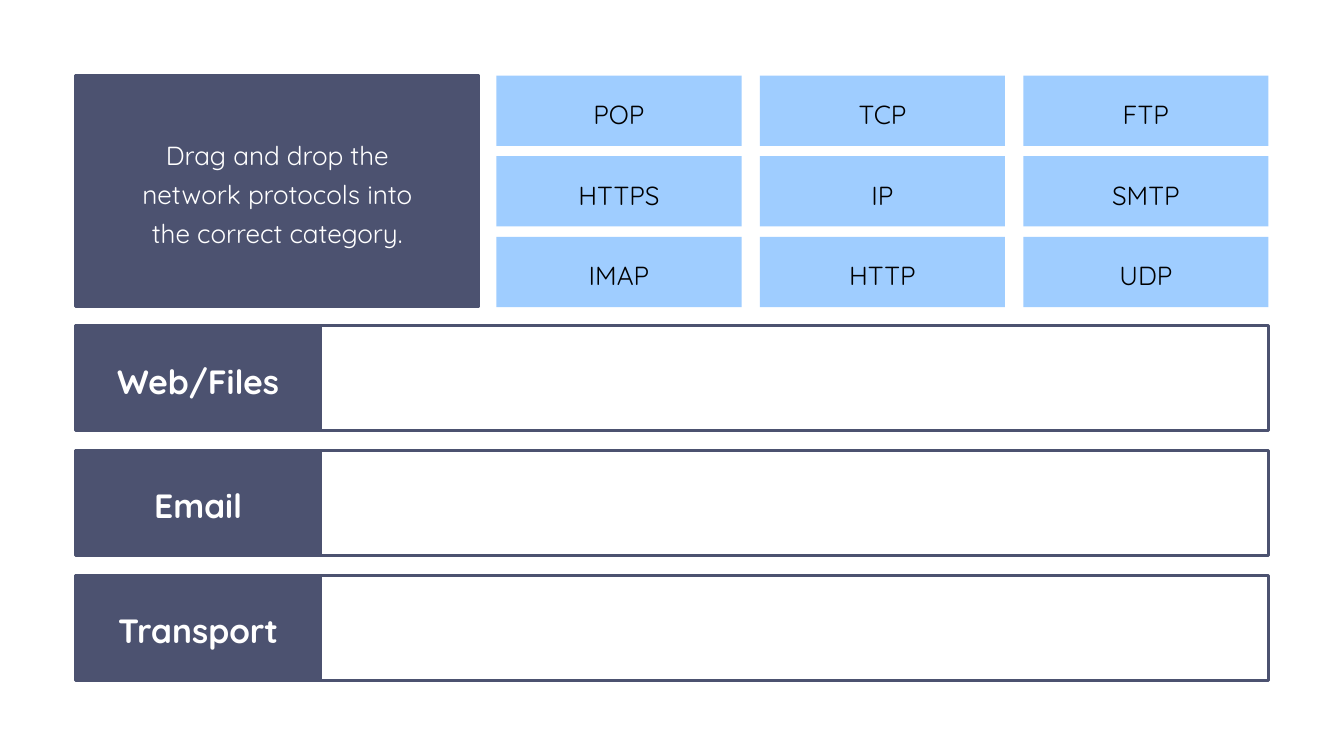
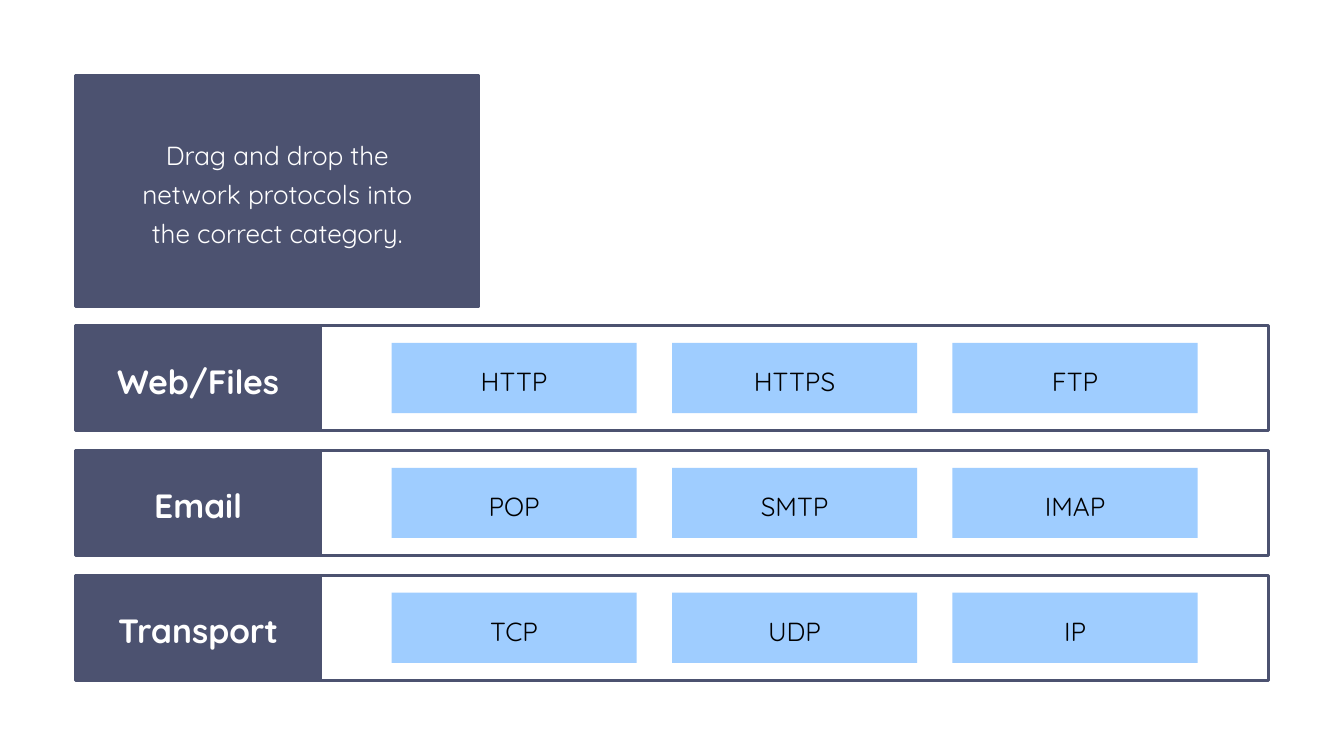
from pptx import Presentation
from pptx.dml.color import RGBColor
from pptx.enum.shapes import MSO_SHAPE
from pptx.enum.text import MSO_ANCHOR, MSO_AUTO_SIZE, PP_ALIGN
from pptx.util import Inches, Pt

SLATE = RGBColor(0x4C, 0x52, 0x70)
SKY = RGBColor(0x9F, 0xCD, 0xFF)
WHITE = RGBColor(0xFF, 0xFF, 0xFF)
BLACK = RGBColor(0, 0, 0)
FONT = "Quicksand"
OUTLINE = Pt(3.75)

# The slide is a grid of 160 columns by 90 rows; all lengths below count cells.
COLUMNS, ROWS = 160, 90
CELL = Inches(20 / COLUMNS)
MARGIN = 9
RIGHT = COLUMNS - MARGIN

PANEL_WIDTH, PANEL_HEIGHT = 47.9, 27.5
CARD_WIDTH, CARD_HEIGHT = 29.18, 8.36
BAND_TOP, BAND_HEIGHT, BAND_PITCH = 38.75, 12.5, 14.87
LABEL_WIDTH = CARD_WIDTH
FRAME_LEFT = MARGIN + LABEL_WIDTH
FRAME_WIDTH = RIGHT - FRAME_LEFT

INSTRUCTION = "Drag and drop the network protocols into the correct category."
SHUFFLED = [
    ["POP", "TCP", "FTP"],
    ["HTTPS", "IP", "SMTP"],
    ["IMAP", "HTTP", "UDP"],
]
ANSWERS = {
    "Web/Files": ["HTTP", "HTTPS", "FTP"],
    "Email": ["POP", "SMTP", "IMAP"],
    "Transport": ["TCP", "UDP", "IP"],
}


def cells(count):
    return round(count * CELL)


def write(holder, text, *, size=28, leading=42, color=BLACK, bold=False):
    frame = holder.text_frame
    frame.text = text
    frame.word_wrap = True
    frame.auto_size = MSO_AUTO_SIZE.SHAPE_TO_FIT_TEXT
    frame.vertical_anchor = MSO_ANCHOR.TOP
    frame.margin_left = frame.margin_right = 0
    frame.margin_top = frame.margin_bottom = 0
    paragraph = frame.paragraphs[0]
    paragraph.alignment = PP_ALIGN.CENTER
    paragraph.line_spacing = Pt(leading)
    font = paragraph.runs[0].font
    font.name, font.size, font.bold = FONT, Pt(size), bold
    font.color.rgb = color


class Activity:
    """Holds the presentation and the slide being filled."""

    def __init__(self):
        self.deck = Presentation()
        self.deck.slide_width = cells(COLUMNS)
        self.deck.slide_height = cells(ROWS)
        self.slide = None

    def block(self, left, top, width, height, fill=None, line=None):
        block = self.slide.shapes.add_shape(
            MSO_SHAPE.RECTANGLE, *map(cells, (left, top, width, height)))
        block.shadow.inherit = False
        if fill is None:
            block.fill.background()
        else:
            block.fill.solid()
            block.fill.fore_color.rgb = fill
        if line is None:
            block.line.fill.background()
        else:
            block.line.color.rgb = line
            block.line.width = OUTLINE
        return block

    def caption(self, text, left, top, width, height, **style):
        box = self.slide.shapes.add_textbox(
            *map(cells, (left, top, width, height)))
        write(box, text, **style)

    def card(self, protocol, left, top):
        self.block(left, top, CARD_WIDTH, CARD_HEIGHT, fill=SKY)
        self.caption(protocol, left + 2, top + 1.8, CARD_WIDTH - 4, 4.24)

    def instruction(self):
        panel = self.block(MARGIN, MARGIN, PANEL_WIDTH, PANEL_HEIGHT, SLATE, SLATE)
        title = self.slide.shapes.title
        title.left, title.top = cells(MARGIN + 5.95), cells(MARGIN + 6.6)
        title.width, title.height = cells(36.1), cells(13.6)
        write(title, INSTRUCTION, color=WHITE)
        panel.element.addnext(title.element)  # the title lies on top of the panel

    def band(self, category, top):
        self.block(FRAME_LEFT, top, FRAME_WIDTH, BAND_HEIGHT, line=SLATE)
        self.block(MARGIN, top, LABEL_WIDTH, BAND_HEIGHT, SLATE, SLATE)
        self.caption(category, MARGIN + 2.25, top + 3.36, LABEL_WIDTH - 4.5, 5.28,
                     size=36, leading=50.4, color=WHITE, bold=True)

    def board(self):
        """Starts a slide with the instruction and the empty category bands."""
        self.slide = self.deck.slides.add_slide(self.deck.slide_layouts[5])
        self.instruction()
        for row, category in enumerate(ANSWERS):
            self.band(category, BAND_TOP + row * BAND_PITCH)

    def cards(self, rows, left, top, pitch_x, pitch_y):
        for row, protocols in enumerate(rows):
            for column, protocol in enumerate(protocols):
                self.card(protocol, left + column * pitch_x, top + row * pitch_y)


def main():
    activity = Activity()

    activity.board()
    tray_left = 59.1
    activity.cards(SHUFFLED, tray_left, MARGIN,
                   (RIGHT - CARD_WIDTH - tray_left) / 2, 9.6)

    activity.board()
    # Outer gaps in a frame are twice the gap between cards: six gaps in all.
    gap = (FRAME_WIDTH - 3 * CARD_WIDTH) / 6
    activity.cards(ANSWERS.values(), FRAME_LEFT + 2 * gap,
                   BAND_TOP + (BAND_HEIGHT - CARD_HEIGHT) / 2,
                   CARD_WIDTH + gap, BAND_PITCH)

    activity.deck.save("out.pptx")


if __name__ == "__main__":
    main()
